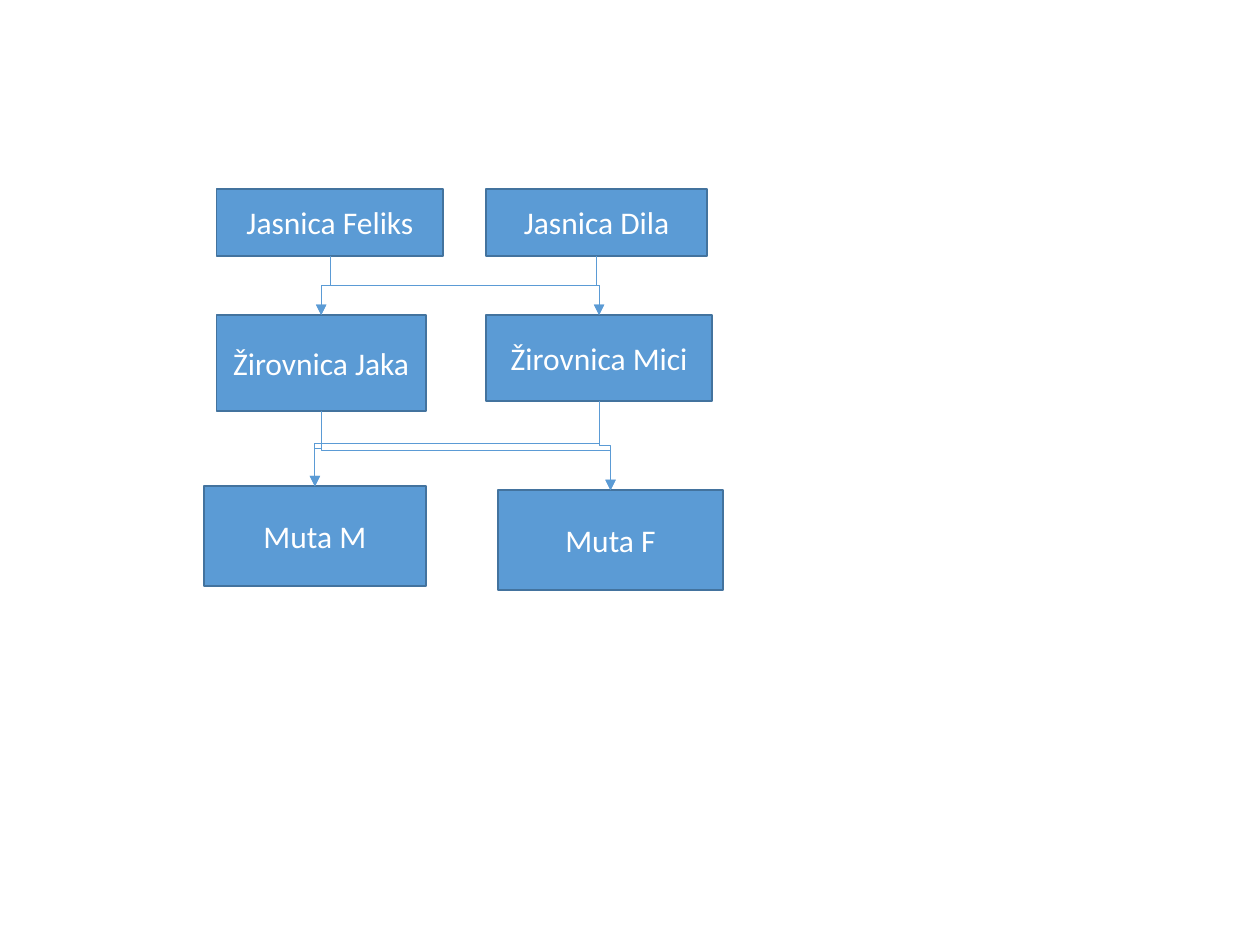
from itertools import pairwise, product
from typing import NamedTuple

from lxml import etree
from pptx import Presentation
from pptx.dml.color import RGBColor
from pptx.enum.shapes import MSO_CONNECTOR, MSO_SHAPE
from pptx.enum.text import MSO_ANCHOR, PP_ALIGN
from pptx.oxml.ns import qn
from pptx.shapes.autoshape import Shape
from pptx.shapes.connector import Connector
from pptx.slide import Slide
from pptx.util import Pt

ELBOW = MSO_CONNECTOR.ELBOW
RECTANGLE = MSO_SHAPE.RECTANGLE
MIDDLE = MSO_ANCHOR.MIDDLE
CENTER = PP_ALIGN.CENTER

BLUE = RGBColor(0x5B, 0x9B, 0xD5)
DARK_BLUE = RGBColor(0x43, 0x73, 0x9E)
WHITE = RGBColor(0xFF, 0xFF, 0xFF)

BLANK_LAYOUT = 6
TOP_SIDE, BOTTOM_SIDE = 0, 2
QUARTER_TURN = 5400000


class Person(NamedTuple):
    """A named box of the family tree, measured in points."""

    name: str
    left: float
    top: float
    width: float
    height: float


GENERATIONS = [
    [
        Person("Jasnica Feliks", 123.8, 108, 129.6, 38.2),
        Person("Jasnica Dila", 277.9, 108, 126, 38.2),
    ],
    [
        Person("Žirovnica Jaka", 123.8, 180, 119.5, 54.7),
        Person("Žirovnica Mici", 277.9, 180, 128.9, 49),
    ],
    [
        Person("Muta M", 116.6, 277.9, 126.7, 56.9),
        Person("Muta F", 284.4, 280.1, 128.9, 56.9),
    ],
]


def write_text(box: Shape, text: str, *, font: str, size: float, color: RGBColor) -> None:
    """Write one centred paragraph in the middle of a box."""
    frame = box.text_frame
    frame.word_wrap = True
    frame.vertical_anchor = MIDDLE
    para = frame.paragraphs[0]
    para.alignment = CENTER
    span = para.add_run()
    span.text = text
    span.font.name = font
    span.font.size = Pt(size)
    span.font.color.rgb = color


def draw_person(page: Slide, person: Person) -> Shape:
    """Draw a person as a filled rectangle with a name."""
    box = page.shapes.add_shape(
        RECTANGLE, Pt(person.left), Pt(person.top), Pt(person.width), Pt(person.height)
    )
    box.shadow.inherit = False
    box.fill.solid()
    box.fill.fore_color.rgb = BLUE
    box.line.color.rgb = DARK_BLUE
    box.line.width = Pt(1)
    write_text(box, person.name, font="Calibri", size=18, color=WHITE)
    return box


def turn_downwards(link: Connector) -> None:
    """Rotate an elbow so that it leaves and arrives vertically."""
    across, down = link.end_x - link.begin_x, link.end_y - link.begin_y
    center_x = (link.begin_x + link.end_x) // 2
    center_y = (link.begin_y + link.end_y) // 2
    link.left, link.top = center_x - down // 2, center_y - abs(across) // 2
    link.width, link.height = down, abs(across)
    rightwards = across > 0
    frame = link.element.spPr.find(qn("a:xfrm"))
    frame.set("rot", str(QUARTER_TURN * (3 if rightwards else 1)))
    frame.set("flipH", "1" if rightwards else "0")
    frame.set("flipV", "0")


def draw_descent(page: Slide, parent: Shape, child: Shape) -> None:
    """Draw an elbow arrow from a parent down to a child."""
    link = page.shapes.add_connector(
        ELBOW,
        parent.left + parent.width // 2,
        parent.top + parent.height,
        child.left + child.width // 2,
        child.top,
    )
    link.begin_connect(parent, BOTTOM_SIDE)
    link.end_connect(child, TOP_SIDE)
    turn_downwards(link)
    link.line.color.rgb = BLUE
    link.line.width = Pt(0.5)
    etree.SubElement(link.line._get_or_add_ln(), qn("a:tailEnd"), type="triangle")
    etree.SubElement(link.element.spPr, qn("a:effectLst"))


def main() -> None:
    """Build the family tree slide and save it."""
    deck = Presentation()
    deck.slide_width, deck.slide_height = Pt(720), Pt(540)
    page = deck.slides.add_slide(deck.slide_layouts[BLANK_LAYOUT])
    rows = [[draw_person(page, person) for person in row] for row in GENERATIONS]
    for parents, children in pairwise(rows):
        for parent, child in product(parents, children):
            draw_descent(page, parent, child)
    deck.save("out.pptx")


if __name__ == "__main__":
    main()
